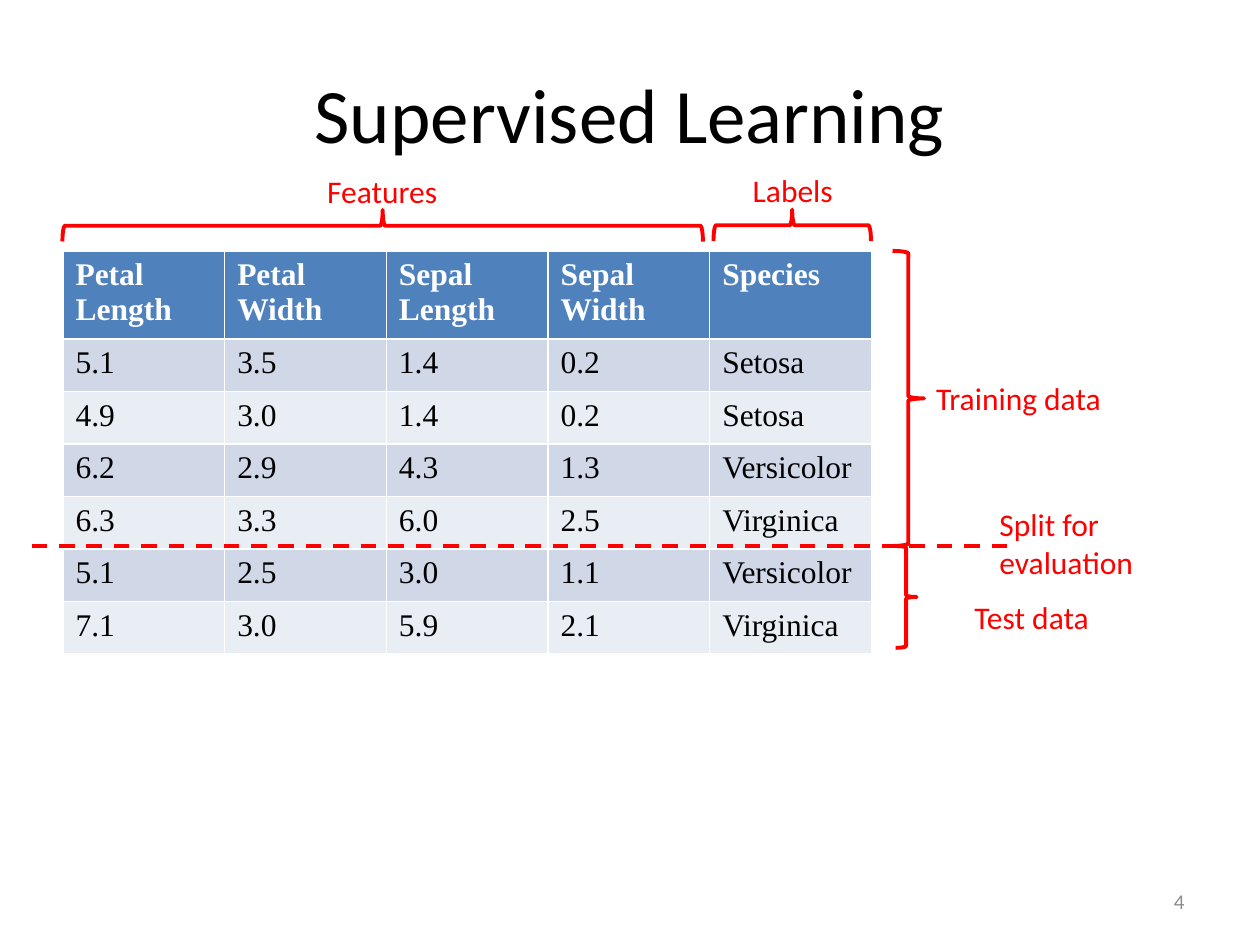
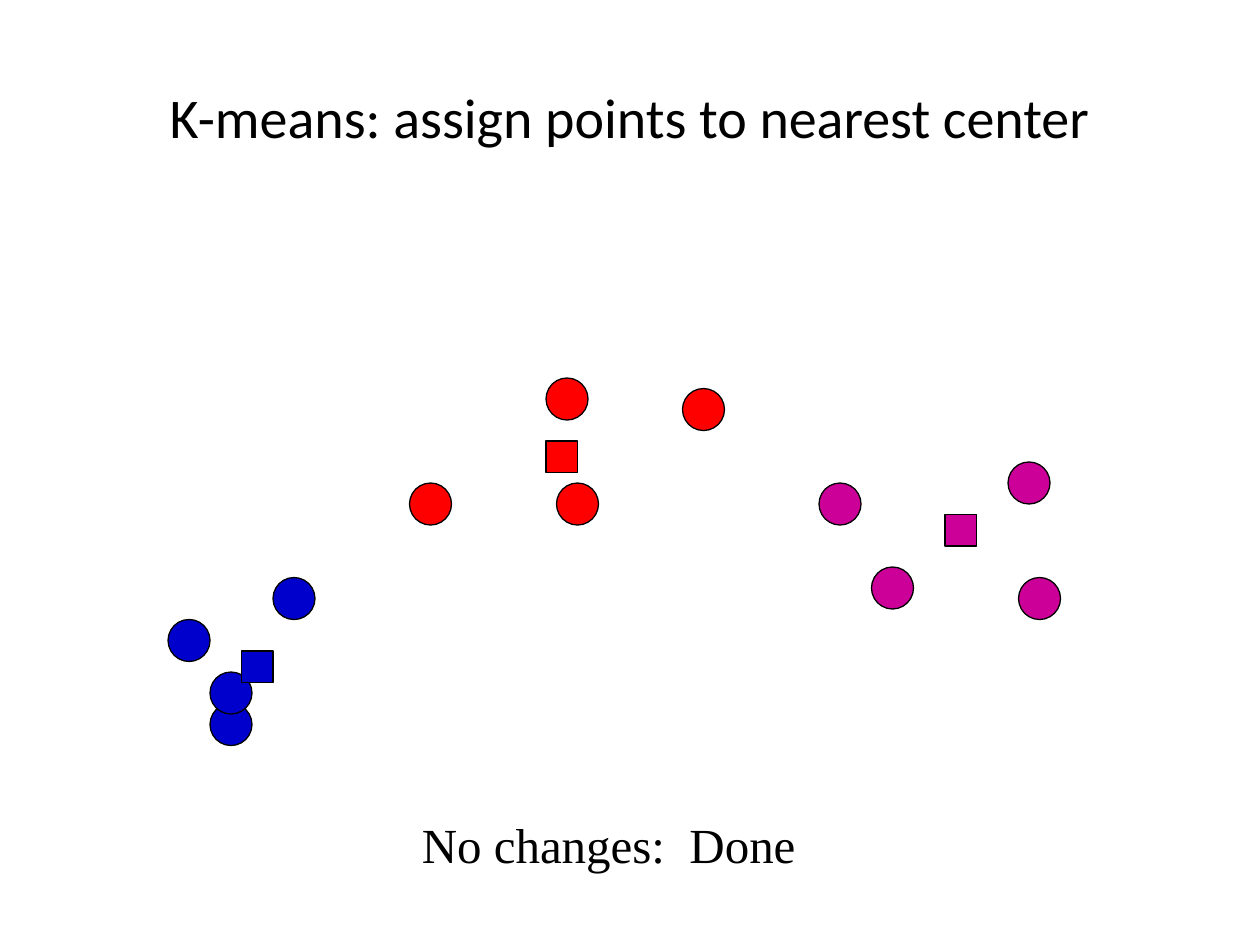
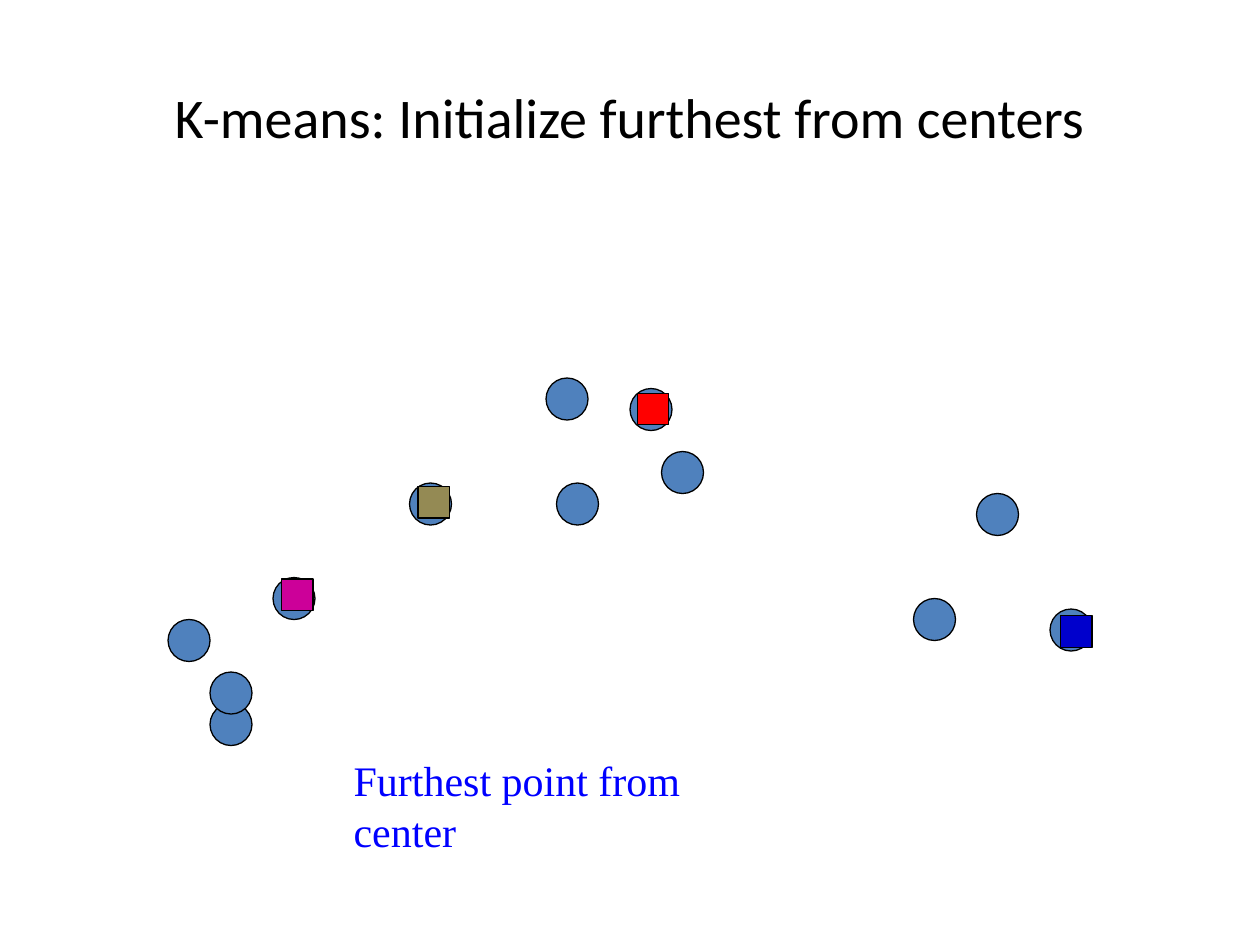
"""Build three slides on supervised learning and k-means clustering."""
from pptx import Presentation
from pptx.dml.color import RGBColor
from pptx.enum.dml import MSO_LINE
from pptx.enum.shapes import MSO_CONNECTOR, MSO_SHAPE
from pptx.enum.text import MSO_ANCHOR, PP_ALIGN
from pptx.oxml.ns import qn
from pptx.util import Inches, Pt
from lxml.etree import SubElement

BLACK = RGBColor(0x00, 0x00, 0x00)
WHITE = RGBColor(0xFF, 0xFF, 0xFF)
GRAY = RGBColor(0x8C, 0x8C, 0x8C)
RED = RGBColor(0xFF, 0x00, 0x00)
BLUE = RGBColor(0x00, 0x00, 0xCC)
BRIGHT_BLUE = RGBColor(0x00, 0x00, 0xFF)
STEEL = RGBColor(0x4F, 0x81, 0xBD)
MAGENTA = RGBColor(0xCC, 0x00, 0x99)
OLIVE = RGBColor(0x94, 0x8A, 0x54)
BANDS = [RGBColor(0xE9, 0xED, 0xF4), RGBColor(0xD0, 0xD8, 0xE8)]
SANS, SERIF = "Calibri", "Times New Roman"
GRID = Inches(1) // 12
POINT, CENTER = 4, 3


def add_text(s, at, text, size, color, font=SANS, align=PP_ALIGN.LEFT, anchor=MSO_ANCHOR.TOP):
    sp = s.shapes.add_textbox(*[int(v * GRID) for v in at])
    tf = sp.text_frame
    tf.word_wrap = True
    tf.vertical_anchor = anchor
    p = tf.paragraphs[0]
    p.alignment = align
    r = p.add_run()
    r.text = text
    r.font.size, r.font.name, r.font.color.rgb = Pt(size), font, color


def add_mark(s, kind, at, fill=None, line=BLACK, width=0.75):
    sp = s.shapes.add_shape(kind, *[int(v * GRID) for v in at])
    sp.shadow.inherit = False
    if fill is None:
        sp.fill.background()
    else:
        sp.fill.solid()
        sp.fill.fore_color.rgb = fill
    sp.line.color.rgb = line
    sp.line.width = Pt(width)
    return sp


prs = Presentation()
prs.slide_width, prs.slide_height = 120 * GRID, 90 * GRID

titles = [
    ("Supervised Learning", 44, 3.2),
    ("K-means: assign points to nearest center", 32, 3.6),
    ("K-means: Initialize furthest from centers", 32, 3.6),
]
slides = []
for text, size, top in titles:
    s = prs.slides.add_slide(prs.slide_layouts[5])
    sp = s.shapes.title
    sp.left, sp.top, sp.width, sp.height = [int(v * GRID) for v in (6, top, 108, 15)]
    tf = sp.text_frame
    tf.vertical_anchor = MSO_ANCHOR.MIDDLE
    p = tf.paragraphs[0]
    p.alignment = PP_ALIGN.CENTER
    r = p.add_run()
    r.text = text
    r.font.size, r.font.name, r.font.color.rgb = Pt(size), SANS, BLACK
    slides.append(s)
learning, assign, initialize = slides

add_text(learning, (86, 83.4, 28, 4.8), "4", 12, GRAY, align=PP_ALIGN.RIGHT, anchor=MSO_ANCHOR.MIDDLE)

rows = [
    ("Petal Length", "Petal Width", "Sepal Length", "Sepal Width", "Species"),
    ("5.1", "3.5", "1.4", "0.2", "Setosa"),
    ("4.9", "3.0", "1.4", "0.2", "Setosa"),
    ("6.2", "2.9", "4.3", "1.3", "Versicolor"),
    ("6.3", "3.3", "6.0", "2.5", "Virginica"),
    ("5.1", "2.5", "3.0", "1.1", "Versicolor"),
    ("7.1", "3.0", "5.9", "2.1", "Virginica"),
]
at = [int(v * GRID) for v in (6, 23.9, 77, 37.8)]
table = learning.shapes.add_table(len(rows), len(rows[0]), *at).table
for i, row in enumerate(rows):
    table.rows[i].height = int((5 if i else 7.8) * GRID)
    for j, text in enumerate(row):
        cell = table.cell(i, j)
        cell.fill.solid()
        cell.fill.fore_color.rgb = BANDS[i % 2] if i else STEEL
        r = cell.text_frame.paragraphs[0].add_run()
        r.text = text
        r.font.size, r.font.name, r.font.bold = Pt(18), SERIF, i == 0
        r.font.color.rgb = BLACK if i else WHITE

braces = [
    ((34.95, -9, 3, 61), 270),
    ((73.95, 13.95, 3, 15), 270),
    ((85, 23.9, 3, 28.1), 0),
    ((85.3, 52, 2, 9.7), 0),
]
for at, rotation in braces:
    add_mark(learning, MSO_SHAPE.RIGHT_BRACE, at, line=RED, width=2.25).rotation = rotation

captions = [
    ("Features", 25.4, 15.8, 4.8, PP_ALIGN.CENTER),
    ("Labels", 64.5, 15.7, 4.8, PP_ALIGN.CENTER),
    ("Training data", 86, 35.5, 4.8, PP_ALIGN.CENTER),
    ("Split for evaluation", 94, 47.5, 8.5, PP_ALIGN.LEFT),
    ("Test data", 87.25, 56.4, 4.8, PP_ALIGN.CENTER),
]
for text, left, top, height, align in captions:
    add_text(learning, (left, top, 22, height), text, 18, RED, align=align)

at = [int(v * GRID) for v in (3, 52, 96.2, 52)]
split = learning.shapes.add_connector(MSO_CONNECTOR.STRAIGHT, *at)
split.line.color.rgb = RED
split.line.width = Pt(2.25)
split.line.dash_style = MSO_LINE.DASH
SubElement(split._element.spPr, qn("a:effectLst"))

clusters = [
    (BLUE, [(20, 67), (16, 59), (26, 55), (20, 64)], (23, 62)),
    (RED, [(52, 36), (65, 37), (53, 46), (39, 46)], (52, 42)),
    (MAGENTA, [(96, 44), (97, 55), (78, 46), (83, 54)], (90, 49)),
]
for color, points, center in clusters:
    for x, y in points:
        add_mark(assign, MSO_SHAPE.OVAL, (x, y, POINT, POINT), color)
    add_mark(assign, MSO_SHAPE.RECTANGLE, (*center, CENTER, CENTER), color)
add_text(assign, (39, 77, 67, 6.8), "No changes:  Done", 28, BLACK, SERIF)

points = [
    (20, 67), (16, 59), (26, 55), (93, 47), (52, 36), (60, 37),
    (53, 46), (39, 46), (100, 58), (63, 43), (20, 64), (87, 57),
]
for x, y in points:
    add_mark(initialize, MSO_SHAPE.OVAL, (x, y, POINT, POINT), STEEL)
centers = [(BLUE, 101, 58.65), (RED, 60.7, 37.45), (MAGENTA, 26.8, 55.15), (OLIVE, 39.8, 46.35)]
for color, x, y in centers:
    add_mark(initialize, MSO_SHAPE.RECTANGLE, (x, y, CENTER, CENTER), color)
add_text(initialize, (32.5, 71.3, 43.2, 6), "Furthest point from center", 24, BRIGHT_BLUE, SERIF)

prs.save("out.pptx")
